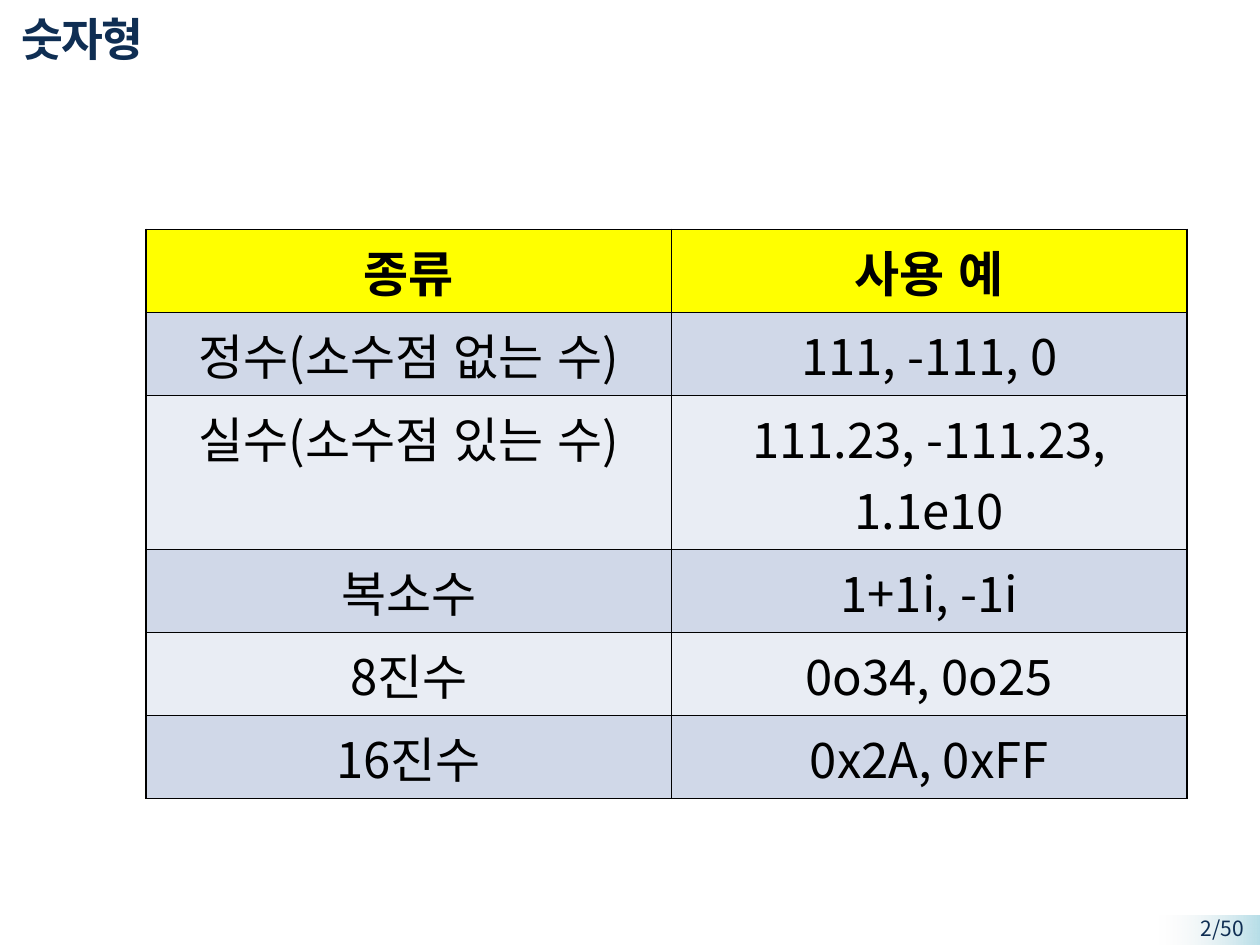
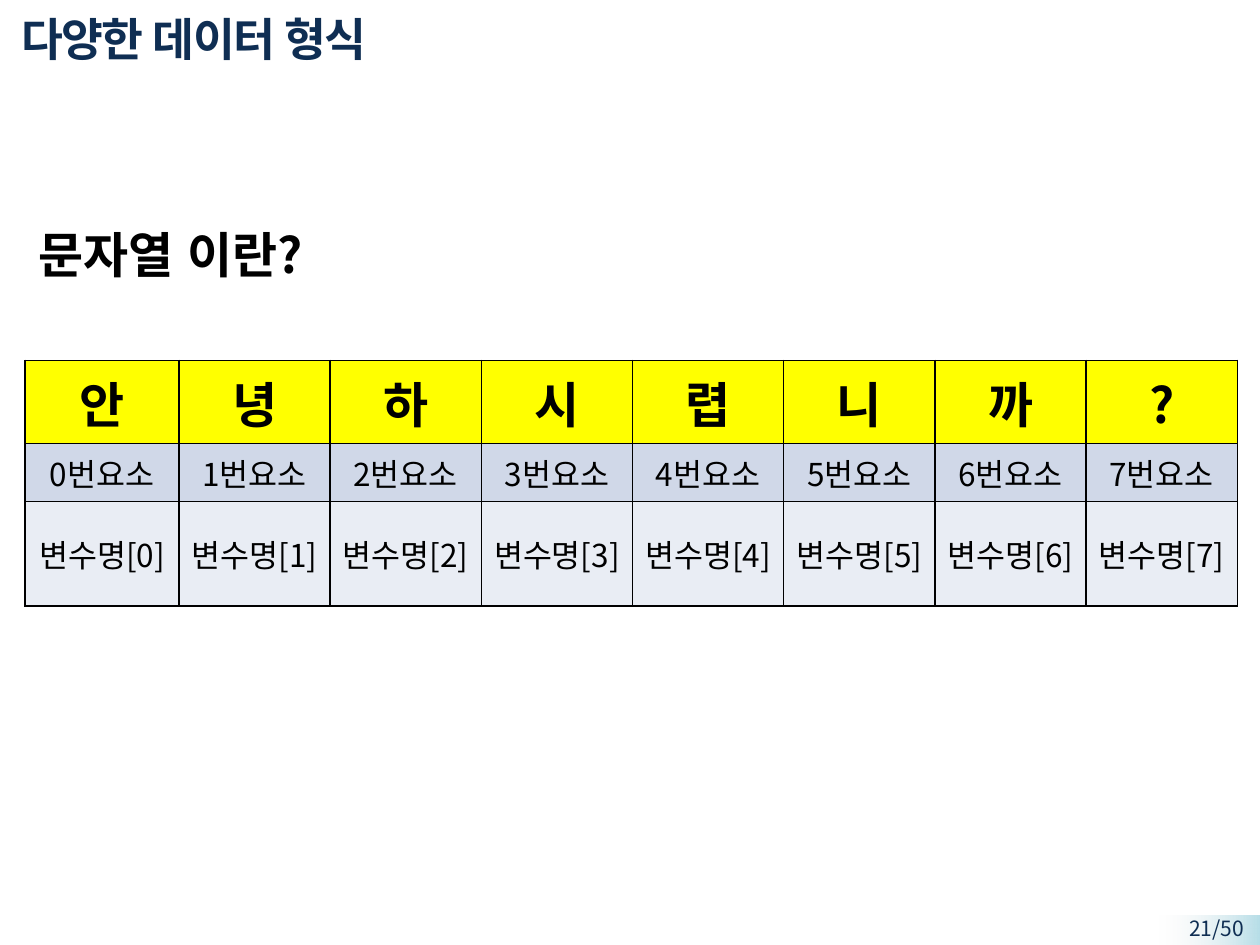
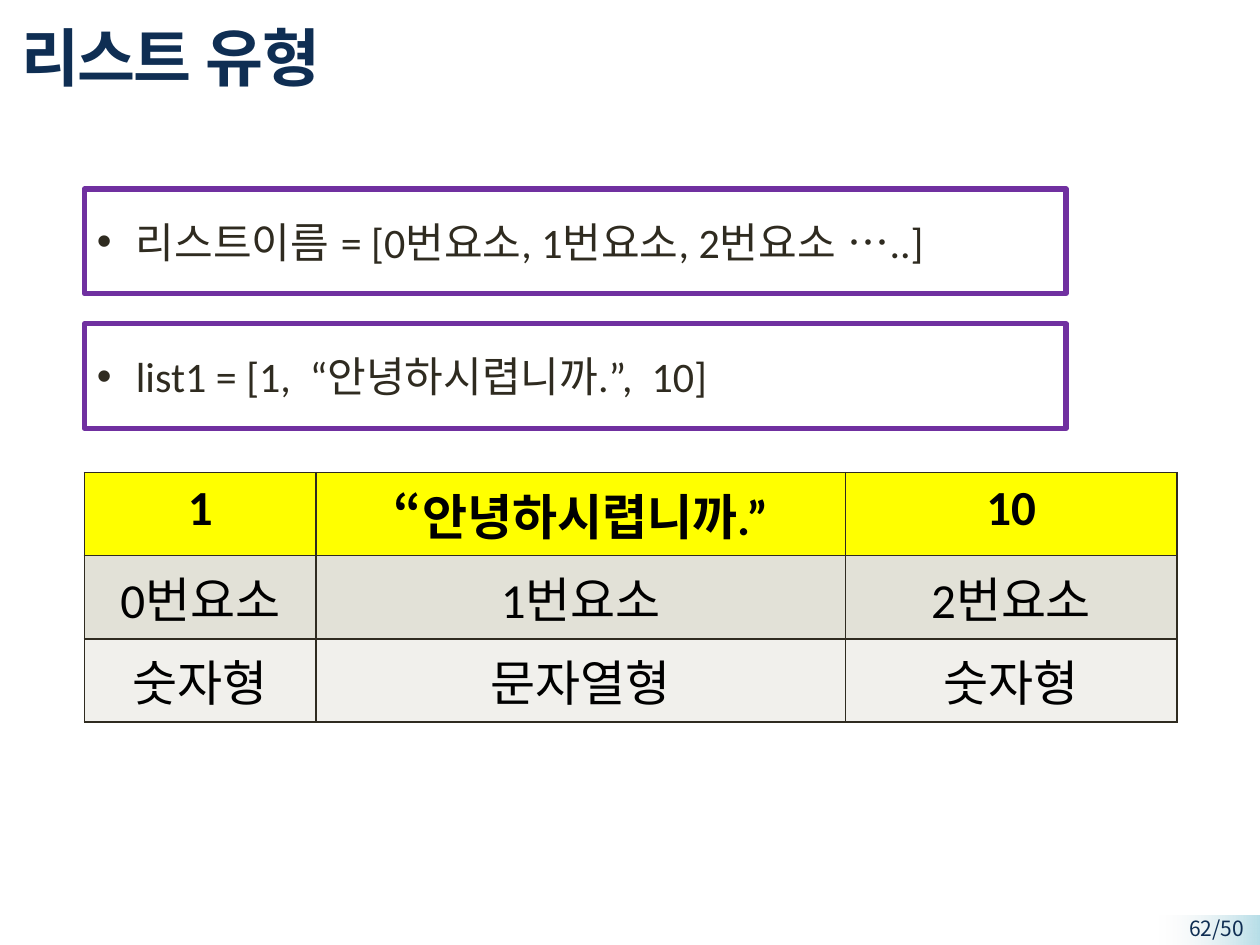
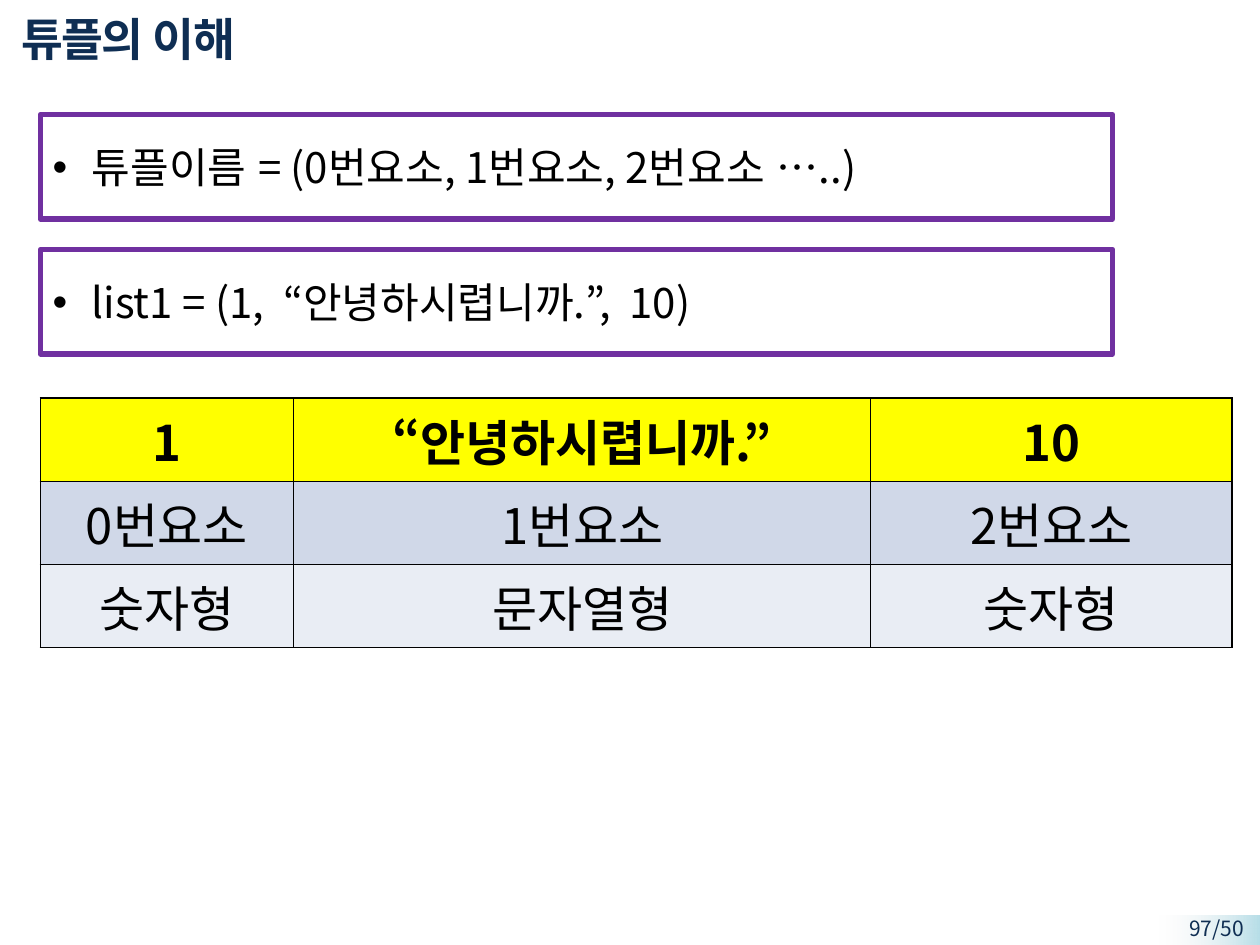
from dataclasses import dataclass

from lxml.etree import SubElement
from pptx import Presentation
from pptx.dml.color import RGBColor
from pptx.enum.lang import MSO_LANGUAGE_ID as Language
from pptx.enum.shapes import MSO_SHAPE as Shape
from pptx.enum.text import MSO_ANCHOR as Anchor, MSO_AUTO_SIZE as AutoSize, PP_ALIGN as Align
from pptx.oxml.ns import qn
from pptx.util import Inches, Pt


@dataclass(frozen=True)
class Theme:
    hangul: str = "Noto Sans CJK KR"
    navy: str = "0F2E53"
    black: str = "000000"
    purple: str = "7030A0"
    header: str = "FFFF00"
    band: tuple = ("B7DEE8", "F2F2F2")
    title_size: int = 26
    big_title_size: int = 36
    table_size: int = 28
    small_size: int = 18
    code_size: int = 24
    footer_size: int = 12


@dataclass(frozen=True)
class Palette:
    """Font and colours of one page's tables and code boxes."""
    font: str
    ink: str
    stripes: tuple


THEME = Theme()
BLUE = Palette(THEME.hangul, THEME.black, ("D0D8E8", "E9EDF4"))
OLIVE = Palette("Calibri", "2F2B20", ("E2E1D7", "F1F0EC"))
PAGE_TOTAL = 50
ROW_HEIGHT = 0.66


def rgb(code):
    return RGBColor.from_string(code)


def inches(box):
    return [Inches(length) for length in box]


def add_span(para, text, size, color, bold=False, font=THEME.hangul):
    span = para.add_run()
    span.text = text
    span.font.language_id = Language.KOREAN
    span.font.size = Pt(size)
    span.font.bold = bold
    span.font.color.rgb = rgb(color)
    span.font.name = font
    SubElement(span.font._element, qn("a:ea"), typeface=THEME.hangul)
    return span


def add_band(page, layout):
    """Draw the fading corner band and move it to the shared layout."""
    band = page.shapes.add_shape(Shape.RECTANGLE, *inches((9.2, 7.27, 0.8, 0.24)))
    band.shadow.inherit = False
    band.line.fill.background()
    band.fill.gradient()
    band.fill.gradient_angle = 180
    for stop, color in zip(band.fill.gradient_stops, THEME.band):
        stop.color.rgb = rgb(color)
    faded = band.element.spPr.findall(".//" + qn("a:srgbClr"))[-1]
    SubElement(faded, qn("a:alpha"), val="0")
    layout.shapes.element.append(band.element)


def add_page(deck, title, number, title_height=0.52, title_size=THEME.title_size):
    page = deck.slides.add_slide(deck.slide_layouts[5])
    box = page.shapes.title
    box.left, box.top, box.width, box.height = inches((0.07, 0.04, 8.51, title_height))
    frame = box.text_frame
    frame.auto_size = AutoSize.NONE
    frame.vertical_anchor = Anchor.MIDDLE
    para = frame.paragraphs[0]
    para.alignment = Align.LEFT
    span = add_span(para, title, title_size, THEME.navy, bold=True)
    span.font._element.set("spc", "-100")

    footer = page.shapes.add_textbox(*inches((9.05, 7.22, 0.92, 0.23)))
    footer.text_frame.word_wrap = True
    para = footer.text_frame.paragraphs[0]
    para.alignment = Align.RIGHT
    add_span(para, f"{number}/{PAGE_TOTAL}", THEME.footer_size, THEME.navy)
    return page


def add_borders(cell, color):
    props = cell._tc.get_or_add_tcPr()
    for side in ("lnL", "lnR", "lnT", "lnB"):
        line = SubElement(props, qn(f"a:{side}"), w=str(Pt(1)))
        SubElement(SubElement(line, qn("a:solidFill")), qn("a:srgbClr"), val=color)


def add_grid(page, origin, rows, widths, heights, palette=BLUE,
             body_size=THEME.table_size, anchor=Anchor.TOP):
    """Add a table with a yellow header row and striped body rows."""
    box = (*origin, sum(widths), sum(heights))
    table = page.shapes.add_table(len(rows), len(widths), *inches(box)).table
    for column, width in zip(table.columns, widths):
        column.width = Inches(width)
    for row, height in zip(table.rows, heights):
        row.height = Inches(height)

    for row_index, texts in enumerate(rows):
        is_header = row_index == 0
        fill = THEME.header if is_header else palette.stripes[(row_index - 1) % 2]
        size = THEME.table_size if is_header else body_size
        for column_index, text in enumerate(texts):
            cell = table.cell(row_index, column_index)
            add_borders(cell, palette.ink)
            cell.fill.solid()
            cell.fill.fore_color.rgb = rgb(fill)
            cell.vertical_anchor = anchor
            para = cell.text_frame.paragraphs[0]
            para.alignment = Align.CENTER
            add_span(para, text, size, THEME.black, is_header, palette.font)


def add_code_box(page, box, text, palette):
    """Add a purple outlined box holding one bulleted line."""
    shape = page.shapes.add_shape(Shape.RECTANGLE, *inches(box))
    shape.shadow.inherit = False
    shape.fill.background()
    shape.line.color.rgb = rgb(THEME.purple)
    shape.line.width = Pt(3)
    frame = shape.text_frame
    frame.word_wrap = True
    frame.vertical_anchor = Anchor.MIDDLE
    para = frame.paragraphs[0]
    para.alignment = Align.LEFT
    props = para._p.get_or_add_pPr()
    props.set("marL", str(Inches(0.31)))
    props.set("indent", str(Inches(-0.31)))
    SubElement(props, qn("a:buFont"), typeface="Arial")
    SubElement(props, qn("a:buChar"), char="•")
    add_span(para, text, THEME.code_size, palette.ink, font=palette.font)


def add_sequence(page, origin, box_width, lines, widths, palette):
    """Stack two code boxes and the table of their elements from origin down."""
    left, top = origin
    for index, line in enumerate(lines):
        add_code_box(page, (left, top + index * 1.07, box_width, 0.83), line, palette)
    rows = [
        ("1", "“안녕하시렵니까.”", "10"),
        [f"{index}번요소" for index in range(3)],
        ("숫자형", "문자열형", "숫자형"),
    ]
    add_grid(page, (left, top + 2.25), rows, widths, [ROW_HEIGHT] * len(rows), palette)


def build_numbers(deck):
    page = add_page(deck, "숫자형", 2)
    rows = [
        ("종류", "사용 예"),
        ("정수(소수점 없는 수)", "111, -111, 0"),
        ("실수(소수점 있는 수)", "111.23, -111.23, 1.1e10"),
        ("복소수", "1+1i, -1i"),
        ("8진수", "0o34, 0o25"),
        ("16진수", "0x2A, 0xFF"),
    ]
    heights = [ROW_HEIGHT] * len(rows)
    heights[2] = 1.22
    add_grid(page, (1.16, 1.82), rows, (4.17, 4.09), heights)
    return page


def build_string(deck):
    page = add_page(deck, "다양한 데이터 형식", 21)
    letters = "안녕하시렵니까?"
    count = len(letters)
    rows = [
        letters,
        [f"{index}번요소" for index in range(count)],
        [f"변수명[{index}]" for index in range(count)],
    ]
    add_grid(page, (0.2, 2.86), rows, [1.22] + [1.2] * (count - 1),
             (ROW_HEIGHT, 0.46, 0.83), body_size=THEME.small_size, anchor=Anchor.MIDDLE)
    question = page.shapes.add_textbox(*inches((0.21, 1.73, 2.48, 0.57)))
    question.text_frame.word_wrap = False
    question.text_frame.auto_size = AutoSize.SHAPE_TO_FIT_TEXT
    add_span(question.text_frame.paragraphs[0], "문자열 이란?",
             THEME.table_size, THEME.black, bold=True)


def build_list(deck):
    page = add_page(deck, "리스트 유형", 62, 0.81, THEME.big_title_size)
    lines = ("리스트이름 = [0번요소, 1번요소, 2번요소 …..]",
             "list1 = [1,  “안녕하시렵니까.”,  10]")
    add_sequence(page, (0.67, 1.5), 7.79, lines, (1.84, 4.2, 2.63), OLIVE)


def build_tuple(deck):
    page = add_page(deck, "튜플의 이해", 97)
    lines = ("튜플이름 = (0번요소, 1번요소, 2번요소 …..)",
             "list1 = (1,  “안녕하시렵니까.”,  10)")
    add_sequence(page, (0.32, 0.91), 8.51, lines, (2.01, 4.58, 2.87), BLUE)


def main():
    deck = Presentation()
    deck.slide_width, deck.slide_height = Inches(10), Inches(7.5)
    first_page = build_numbers(deck)
    add_band(first_page, first_page.slide_layout)
    build_string(deck)
    build_list(deck)
    build_tuple(deck)
    deck.save("out.pptx")


if __name__ == "__main__":
    main()
